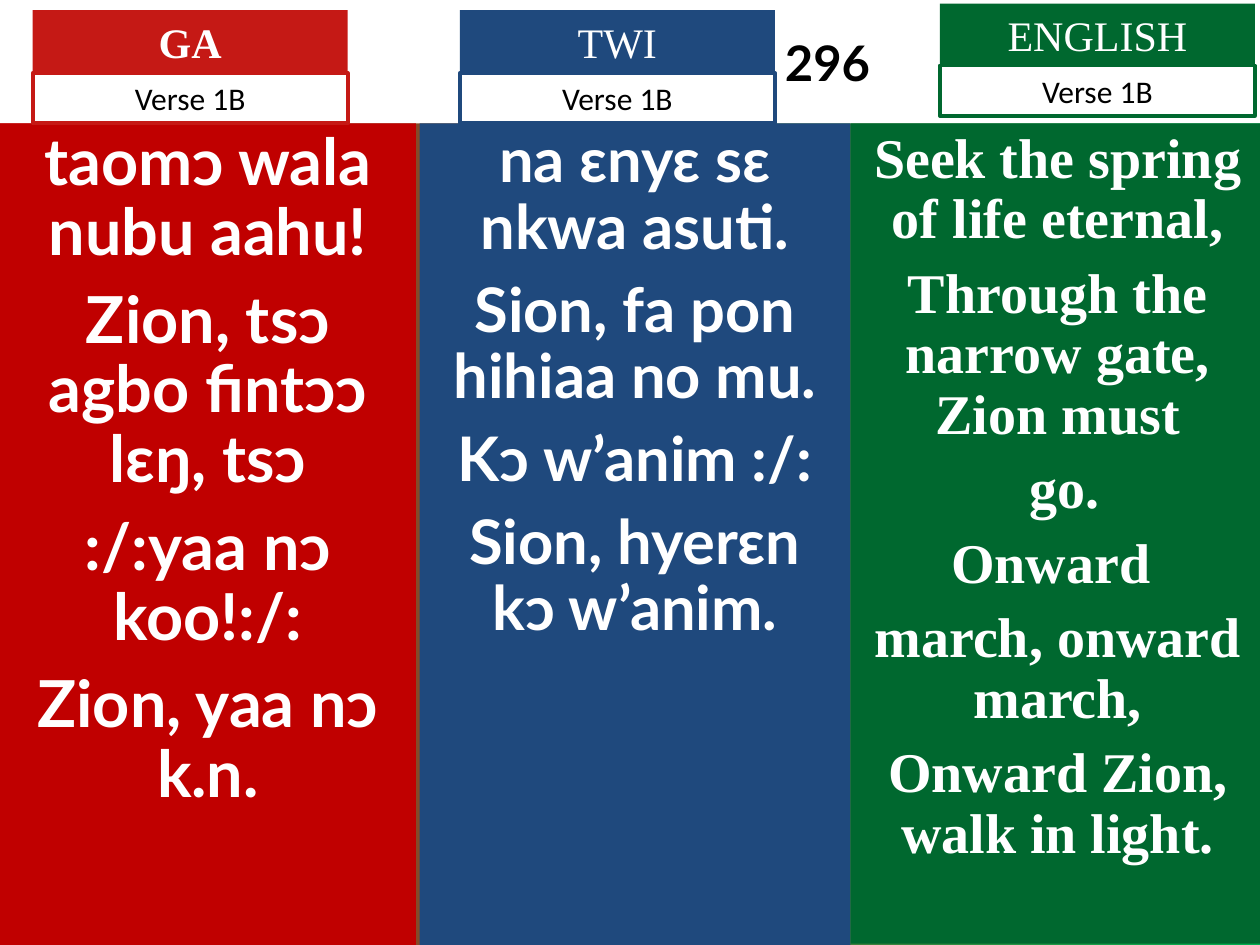
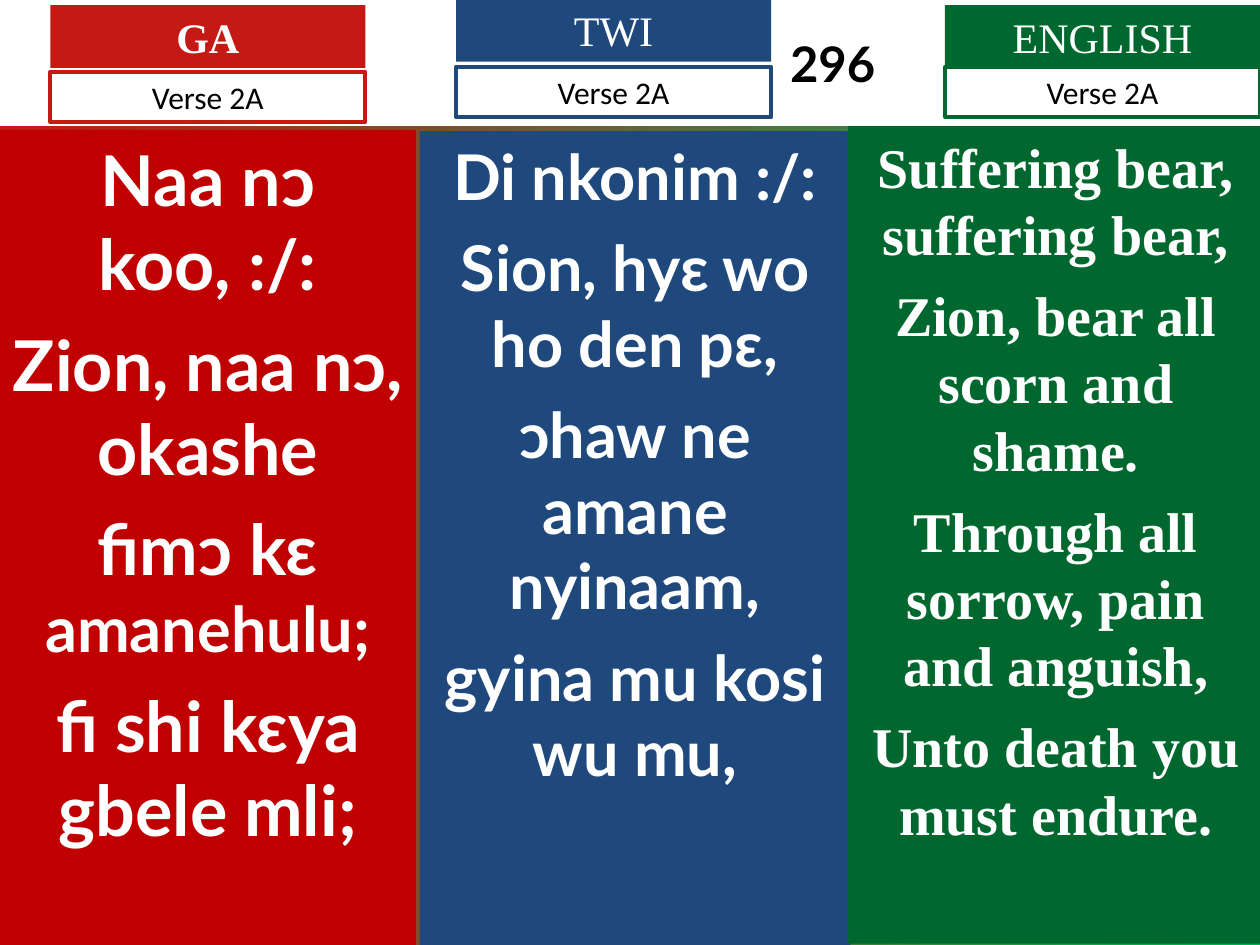
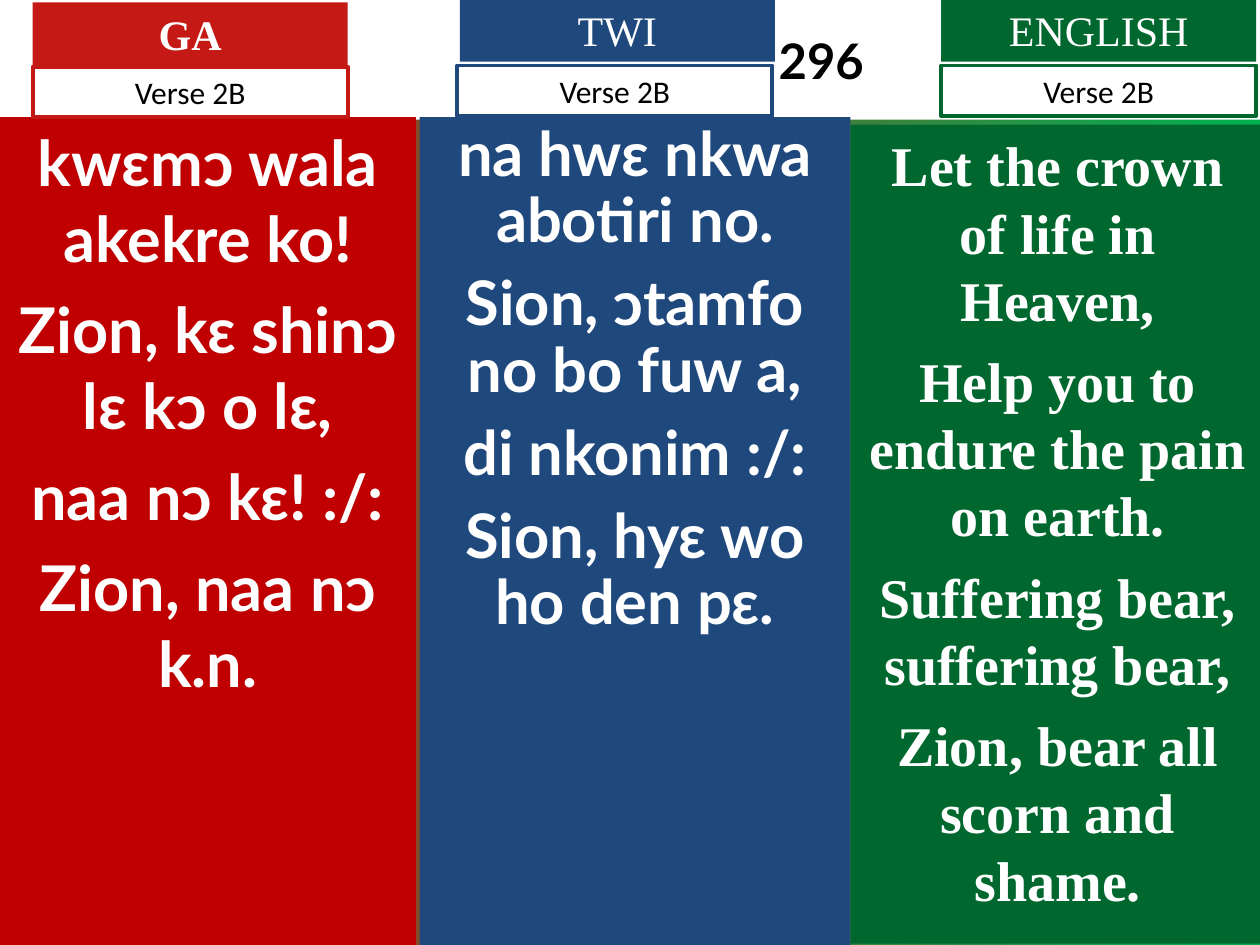
from lxml import etree
from pptx import Presentation
from pptx.dml.color import RGBColor
from pptx.enum.text import MSO_ANCHOR, MSO_AUTO_SIZE, PP_ALIGN
from pptx.oxml.ns import qn
from pptx.util import Pt

PX = 9144  # 100 px to the inch
CENTER, LEFT = PP_ALIGN.CENTER, PP_ALIGN.LEFT
TOP, MIDDLE = MSO_ANCHOR.TOP, MSO_ANCHOR.MIDDLE
FIXED = MSO_AUTO_SIZE.NONE
WHITE, BLACK = "FFFFFF", "000000"
TITLE_LAYOUT = 3  # title and two body placeholders
LABEL_WIDTH, LABEL_HEIGHT, VERSE_HEIGHT = 250, 50, 40

# language, label colour, column colour, column font, bold label
LANGUAGES = [
    ("GA", "C51915", "C00000", "Lato", True),
    ("TWI", "1F497D", "1F497D", "Lato", False),
    ("ENGLISH", "00682F", "00682F", "Times New Roman", False),
]

# Each column: box, label position, verse position, text size,
# space before, line spacing, lines (a line may be a list of sized runs)
SLIDES = [
    ("Verse 1B", 98, 623, [
        ((0, 98, 330, 652), (26, 8), (26, 58), 37, 10, 0.9, [
            "taomɔ wala nubu aahu!",
            "Zion, tsɔ agbo fintɔɔ lɛŋ, tsɔ",
            ":/:yaa nɔ koo!:/:",
            "Zion, yaa nɔ k.n.",
        ]),
        ((333, 98, 342, 652), (365, 8), (365, 58), 35.1, 9.5, 0.9, [
            "na ɛnyɛ sɛ nkwa asuti.",
            "Sion, fa pon hihiaa no mu.",
            "Kɔ w’anim :/:",
            "Sion, hyerɛn kɔ w’anim.",
        ]),
        ((675, 98, 329, 651), (746, 3), (746, 52), 32, 8, 0.9, [
            "Seek the spring of life eternal,",
            "Through the narrow gate, Zion must",
            " go.",
            "Onward ",
            "march, onward march,",
            "Onward Zion, walk in light.",
        ]),
    ]),
    ("Verse 2A", 100, 627, [
        ((0, 103, 330, 647), (40, 4), (40, 57), 40, 10, 1.0, [
            "Naa nɔ koo, :/:",
            "Zion, naa nɔ, okashe",
            [("fimɔ kɛ ", 40), ("amanehulu;", 36)],
            "fi shi kɛya gbele mli;",
        ]),
        ((333, 104, 342, 646), (362, -1), (362, 53), 36, 9, 1.0, [
            "Di nkonim :/:",
            "Sion, hyɛ wo ho den pɛ,",
            "ɔhaw ne amane nyinaam,",
            "gyina mu kosi wu mu,",
        ]),
        ((673, 100, 330, 649), (750, 4), (750, 53), 32, 8, 1.0, [
            "Suffering bear, suffering bear,",
            "Zion, bear all scorn and shame.",
            "Through all sorrow, pain and anguish,",
            "Unto death you must endure.",
        ]),
    ]),
    ("Verse 2B", 95, 618, [
        ((0, 93, 330, 657), (26, 2), (26, 53), 36, 9, 1.0, [
            "kwɛmɔ wala akekre ko!",
            "Zion, kɛ shinɔ lɛ kɔ o lɛ,",
            "naa nɔ kɛ! :/:",
            "Zion, naa nɔ k.n.",
        ]),
        ((333, 93, 342, 657), (365, -1), (363, 52), 35.1, 9.5, 0.9, [
            "na hwɛ nkwa abotiri no.",
            "Sion, ɔtamfo no bo fuw a,",
            "di nkonim :/:",
            "Sion, hyɛ wo ho den pɛ.",
        ]),
        ((675, 99, 329, 650), (747, -1), (747, 52), 32, 8, 1.0, [
            "Let the crown of life in Heaven,",
            "Help you to endure the pain on earth.",
            "Suffering bear, suffering bear,",
            "Zion, bear all scorn and shame.",
        ]),
    ]),
]


def color(hex_code):
    return RGBColor.from_string(hex_code)


def write(box, area, lines, size, font, ink, bold=False, fill=None, align=CENTER,
          anchor=TOP, inset=10, space=0, spacing=1.0):
    """Place the box, fill it and write one paragraph for each line."""
    box.left, box.top, box.width, box.height = [PX * length for length in area]
    if fill:
        box.fill.solid()
        box.fill.fore_color.rgb = color(fill)
    frame = box.text_frame
    frame.word_wrap = True
    frame.auto_size = FIXED
    frame.vertical_anchor = anchor
    frame.margin_left, frame.margin_right = PX * inset, PX * 10
    frame.margin_top = frame.margin_bottom = PX * 5
    for number, line in enumerate(lines):
        para = frame.add_paragraph() if number else frame.paragraphs[0]
        properties = para._p.get_or_add_pPr()
        properties.set("marL", "0")
        properties.set("indent", "0")
        etree.SubElement(properties, qn("a:buNone"))
        spans = [(line, size)] if isinstance(line, str) else line
        gap = space if isinstance(line, str) else min(points for _, points in spans) / 4
        para.alignment = align
        para.line_spacing = spacing
        para.space_before = Pt(gap if number else 0)
        para.space_after = Pt(0)
        for text, points in spans:
            span = para.add_run()
            span.text = text
            span.font.size = Pt(points)
            span.font.name = font
            span.font.bold = bold
            span.font.color.rgb = color(ink)


deck = Presentation()
deck.slide_width, deck.slide_height = PX * 1000, PX * 750

backdrop = deck.slide_master.background.fill
backdrop.gradient()
backdrop.gradient_angle = 0
for stop, hex_code, position in zip(backdrop.gradient_stops, ("C51915", "00B050"), (0, 1)):
    stop.color.rgb = color(hex_code)
    stop.position = position

for verse, title_height, number_left, columns in SLIDES:
    page = deck.slides.add_slide(deck.slide_layouts[TITLE_LAYOUT])
    write(page.shapes.title, (0, 0, 1000, title_height), ["296"], 28, "Lato", BLACK,
          bold=True, fill=WHITE, align=LEFT, anchor=MIDDLE, inset=number_left)
    bodies = [page.placeholders[1], page.placeholders[2],
              page.shapes.add_textbox(0, 0, PX, PX)]

    for language, column, body in zip(LANGUAGES, columns, bodies):
        name, label_color, column_color, font, bold_label = language
        area, label_at, verse_at, size, space, spacing, lines = column
        write(body, area, lines, size, font, WHITE, bold=True, fill=column_color,
              space=space, spacing=spacing)

        label = page.shapes.add_textbox(0, 0, PX, PX)
        write(label, (*label_at, LABEL_WIDTH, LABEL_HEIGHT), [name], 24,
              "Times New Roman", WHITE, bold=bold_label, fill=label_color)

        verse_box = page.shapes.add_textbox(0, 0, PX, PX)
        write(verse_box, (*verse_at, LABEL_WIDTH, VERSE_HEIGHT), [verse], 18, "Calibri", BLACK)
        verse_box.line.color.rgb = color(label_color)
        verse_box.line.width = Pt(2.25)

deck.save("out.pptx")
